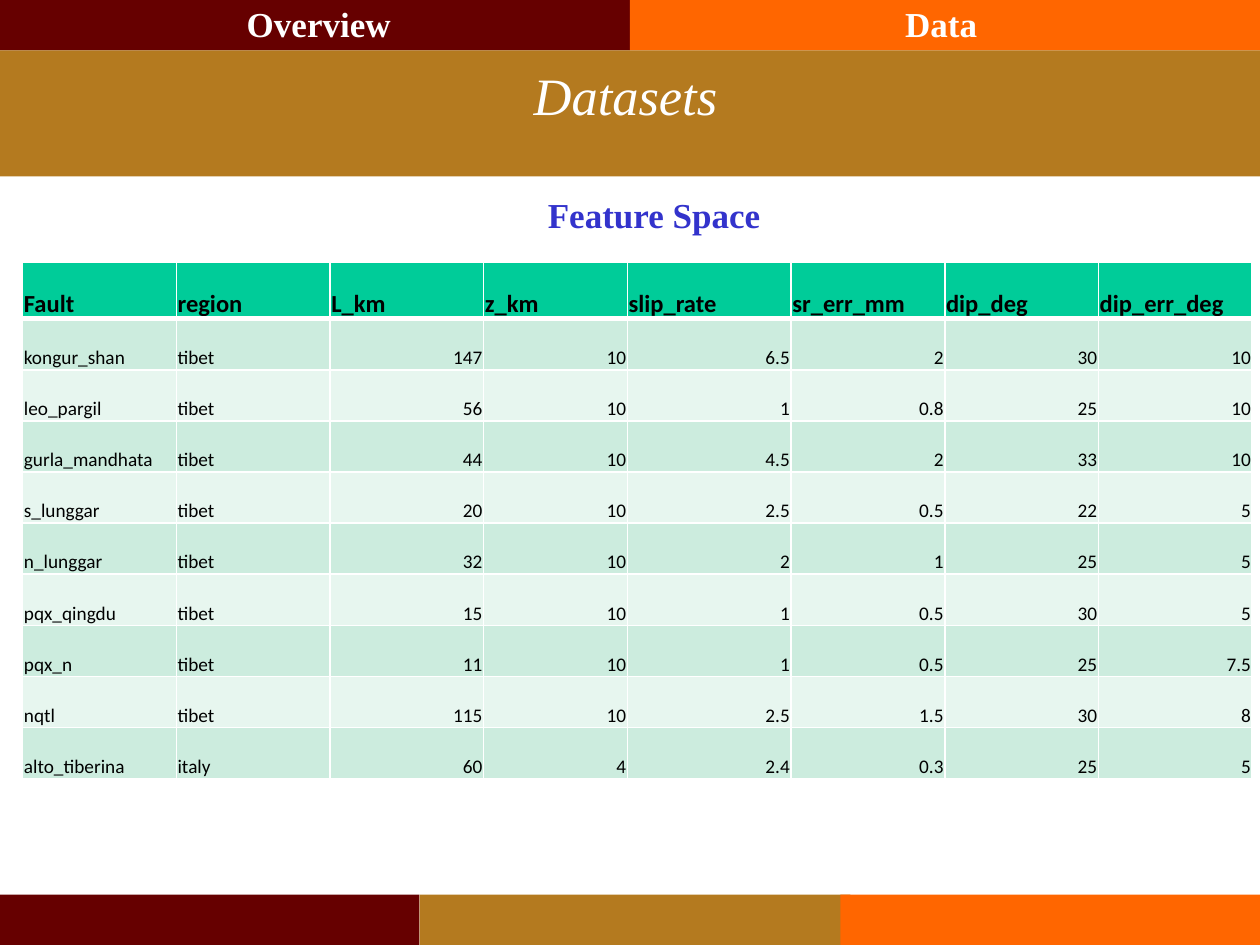
"""Build the Datasets slide with its feature table."""
from typing import NamedTuple

from lxml import etree
from pptx import Presentation
from pptx.dml.color import RGBColor
from pptx.enum.shapes import MSO_SHAPE
from pptx.enum.text import MSO_ANCHOR, MSO_AUTO_SIZE, PP_ALIGN
from pptx.oxml.ns import qn
from pptx.util import Inches, Pt

RECTANGLE = MSO_SHAPE.RECTANGLE
TOP, MIDDLE, BOTTOM = MSO_ANCHOR.TOP, MSO_ANCHOR.MIDDLE, MSO_ANCHOR.BOTTOM
LEFT, CENTER, RIGHT = PP_ALIGN.LEFT, PP_ALIGN.CENTER, PP_ALIGN.RIGHT
MAROON, GOLD, ORANGE, WHITE = "660000", "B47A1F", "FF6600", "FFFFFF"
SERIF, SANS = "Times New Roman", "Calibri"
TABLE_HEIGHT, HEADER_HEIGHT = 4.1, 0.45
COLUMN_WIDTHS = [1.22, 1.22, 1.22, 1.14, 1.3, 1.22, 1.22, 1.22]
HEADER = ["Fault", "region", "L_km", "z_km", "slip_rate", "sr_err_mm", "dip_deg", "dip_err_deg"]
FAULTS = [
    ["kongur_shan", "tibet", "147", "10", "6.5", "2", "30", "10"],
    ["leo_pargil", "tibet", "56", "10", "1", "0.8", "25", "10"],
    ["gurla_mandhata", "tibet", "44", "10", "4.5", "2", "33", "10"],
    ["s_lunggar", "tibet", "20", "10", "2.5", "0.5", "22", "5"],
    ["n_lunggar", "tibet", "32", "10", "2", "1", "25", "5"],
    ["pqx_qingdu", "tibet", "15", "10", "1", "0.5", "30", "5"],
    ["pqx_n", "tibet", "11", "10", "1", "0.5", "25", "7.5"],
    ["nqtl", "tibet", "115", "10", "2.5", "1.5", "30", "8"],
    ["alto_tiberina", "italy", "60", "4", "2.4", "0.3", "25", "5"],
]


class Band(NamedTuple):
    left: float
    top: float
    width: float
    height: float
    color: str


class Style(NamedTuple):
    size: float
    font: str
    color: str
    bold: bool = False
    italic: bool = False
    align: PP_ALIGN = LEFT


BANDS = [
    Band(0, 7.1, 3.33, 0.4, MAROON),
    Band(3.33, 7.1, 3.42, 0.4, GOLD),
    Band(6.67, 7.1, 3.33, 0.4, ORANGE),
    Band(0, 0, 5, 0.4, MAROON),
    Band(5, 0, 5, 0.4, ORANGE),
    Band(0, 0.4, 10, 1, GOLD),
]
TITLE_STYLE = Style(30, SERIF, WHITE, italic=True, align=CENTER)
TAB_STYLE = Style(20, SERIF, WHITE, bold=True, align=CENTER)
CAPTION_STYLE = Style(20, SERIF, "3333CC", bold=True)
HEADER_STYLE = Style(14, SANS, "000000", bold=True)
CELL_STYLE = Style(11, SANS, "000000")


def rgb(color: str) -> RGBColor:
    """Turn a hex string into a colour."""
    return RGBColor.from_string(color)


def write(frame, text: str, style: Style) -> None:
    """Set the text of a frame and format its run."""
    frame.text = text
    para = frame.paragraphs[0]
    para.alignment = style.align
    font = para.runs[0].font
    font.size, font.name = Pt(style.size), style.font
    font.bold, font.italic = style.bold, style.italic
    font.color.rgb = rgb(style.color)


def draw_band(page, band: Band) -> None:
    """Draw one plain coloured band."""
    box = page.shapes.add_shape(RECTANGLE, *(Inches(length) for length in band[:4]))
    box.shadow.inherit = False
    box.fill.solid()
    box.fill.fore_color.rgb = rgb(band.color)
    box.line.fill.background()


def fill_placeholder(page, box, place: tuple, text: str, style: Style, anchor: MSO_ANCHOR) -> None:
    """Move a placeholder to the front at its place and write in it."""
    box.left, box.top, box.width, box.height = (Inches(length) for length in place)
    write(box.text_frame, text, style)
    box.text_frame.auto_size = MSO_AUTO_SIZE.NONE
    box.text_frame.vertical_anchor = anchor
    page.shapes._spTree.append(box._element)


def set_borders(cell, widths: dict[str, float]) -> None:
    """Give a cell white borders, ahead of its fill."""
    properties = cell._tc.get_or_add_tcPr()
    for position, (side, width) in enumerate(widths.items()):
        line = etree.Element(qn(f"a:{side}"), w=str(Pt(width)))
        fill = etree.SubElement(line, qn("a:solidFill"))
        etree.SubElement(fill, qn("a:srgbClr"), val=WHITE)
        properties.insert(position, line)


def draw_cell(cell, text: str, row: int, column: int) -> None:
    """Write, fill and border one table cell."""
    cell.margin_left = cell.margin_right = cell.margin_top = Inches(0.01)
    cell.margin_bottom = 0
    cell.vertical_anchor = BOTTOM
    style = HEADER_STYLE if row == 0 else CELL_STYLE
    if row and column > 1:
        style = style._replace(align=RIGHT)
    write(cell.text_frame, text, style)
    cell.fill.solid()
    cell.fill.fore_color.rgb = rgb("00CC99" if row == 0 else "CCECDE" if row % 2 else "E7F6EF")
    set_borders(cell, {"lnL": 1, "lnR": 1, "lnT": 3 if row == 1 else 1, "lnB": 3 if row == 0 else 1})


def draw_table(page) -> None:
    """Draw the feature table."""
    rows = [HEADER, *FAULTS]
    table = page.shapes.add_table(
        len(rows), len(HEADER), Inches(0.18), Inches(2.08),
        Inches(sum(COLUMN_WIDTHS)), Inches(TABLE_HEIGHT),
    ).table
    for column, width in zip(table.columns, COLUMN_WIDTHS):
        column.width = Inches(width)
    fault_height = (TABLE_HEIGHT - HEADER_HEIGHT) / len(FAULTS)
    for row, texts in enumerate(rows):
        table.rows[row].height = Inches(fault_height if row else HEADER_HEIGHT)
        for column, text in enumerate(texts):
            draw_cell(table.cell(row, column), text, row, column)


def main() -> None:
    """Build and save the deck."""
    deck = Presentation()
    deck.slide_width, deck.slide_height = Inches(10), Inches(7.5)
    page = deck.slides.add_slide(deck.slide_layouts.get_by_name("Comparison"))
    title, overview, first_content, data, second_content, *_ = page.placeholders
    for unused in (first_content, second_content):
        page.shapes._spTree.remove(unused._element)
    for band in BANDS:
        draw_band(page, band)
    draw_table(page)
    fill_placeholder(page, title, (1.51, 0.25, 6.91, 1), "Datasets", TITLE_STYLE, MIDDLE)
    for box, left, text in ((data, 4.94, "Data"), (overview, 0, "Overview")):
        fill_placeholder(page, box, (left, -0.03, 5.06, 0.44), text, TAB_STYLE, TOP)
        box.text_frame.paragraphs[0].space_before = Pt(4)
    caption = page.shapes.add_textbox(Inches(4.25), Inches(1.49), Inches(1.9), Inches(0.44))
    write(caption.text_frame, "Feature Space", CAPTION_STYLE)
    caption.text_frame.word_wrap = False
    caption.text_frame.auto_size = MSO_AUTO_SIZE.SHAPE_TO_FIT_TEXT
    deck.save("out.pptx")


if __name__ == "__main__":
    main()
